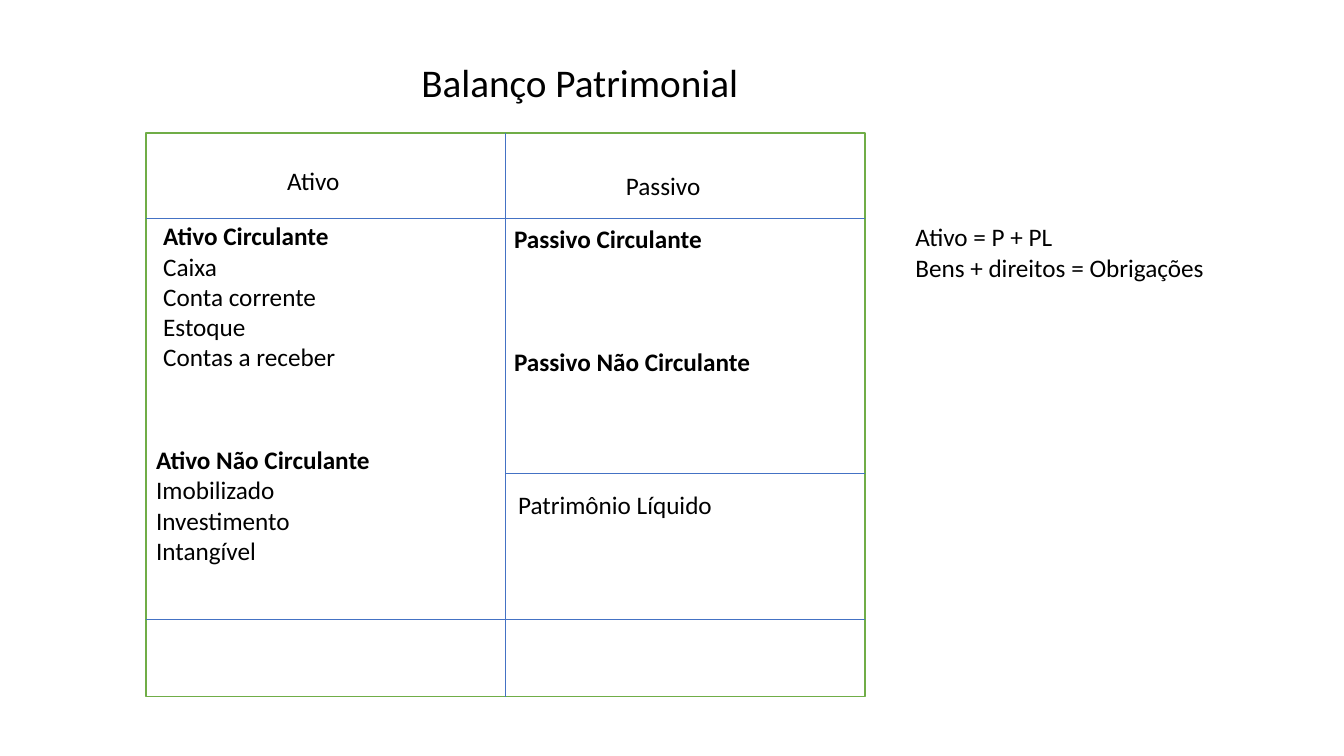
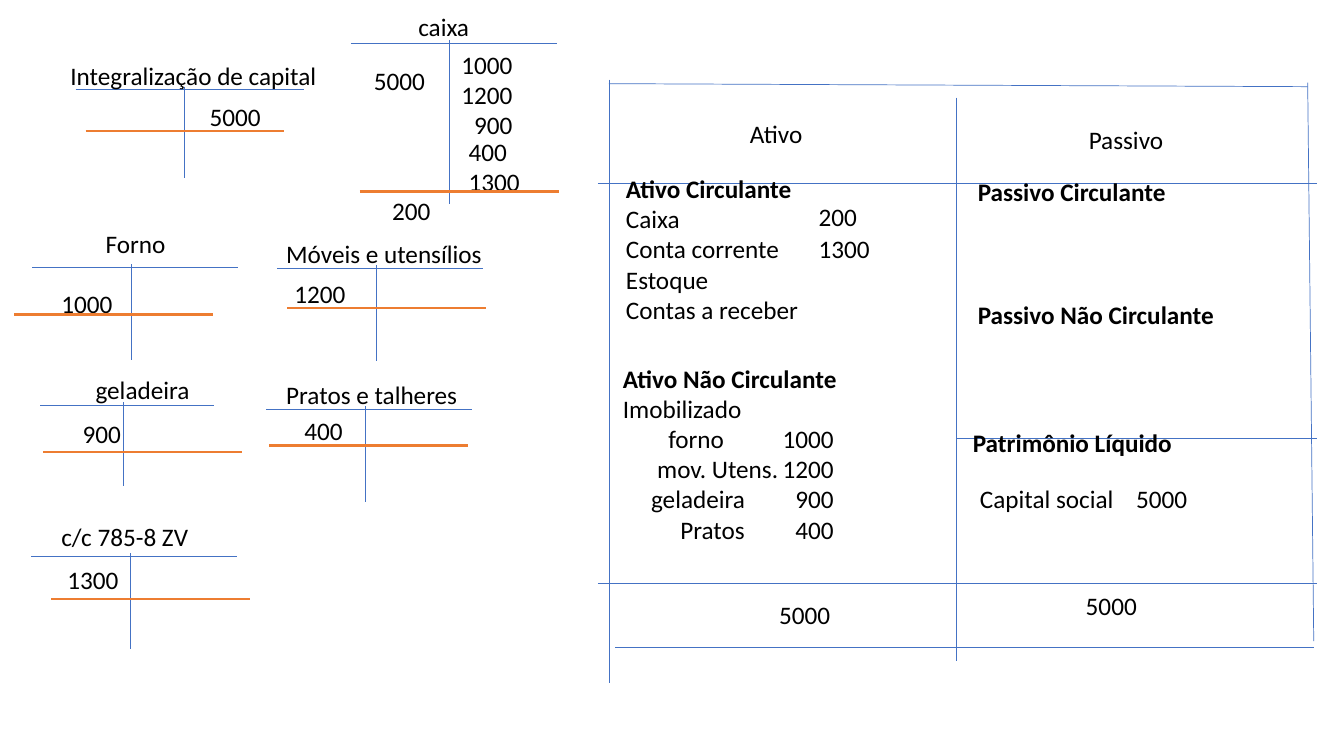
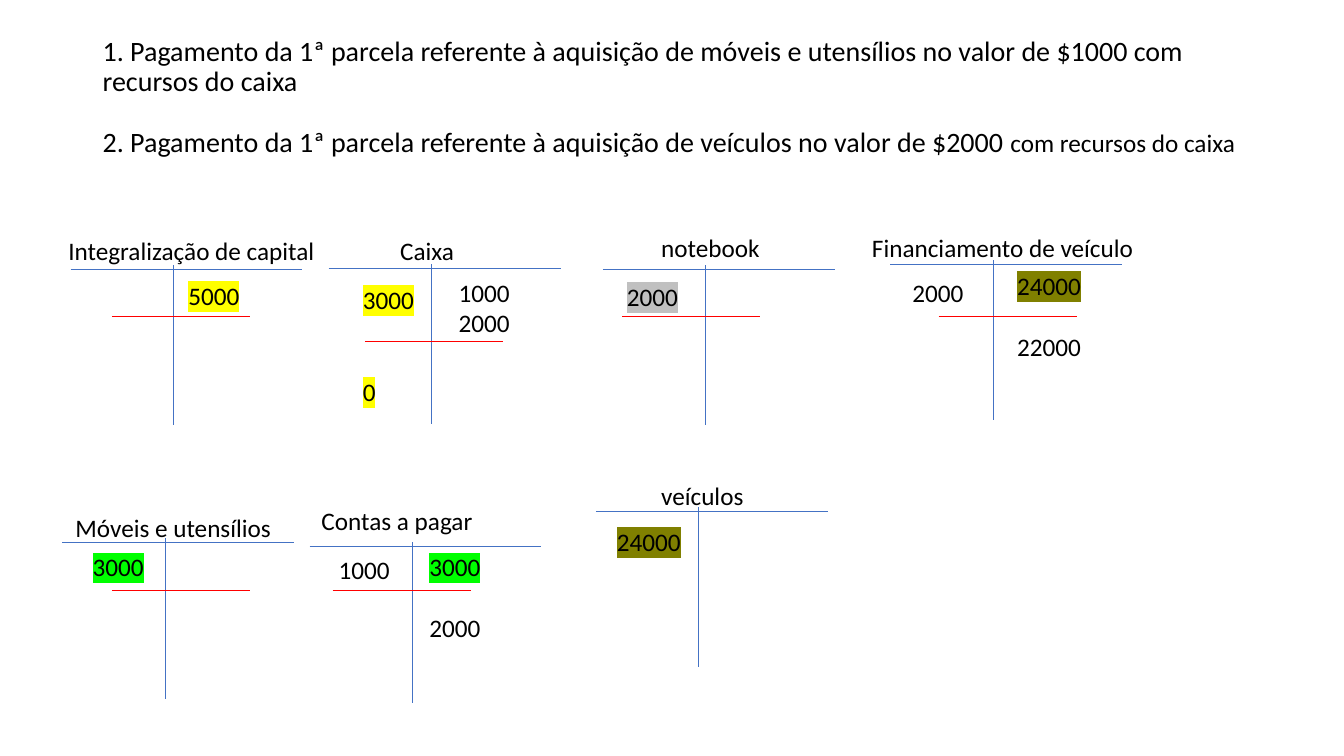
from dataclasses import dataclass

import pptx
import pptx.dml.color
import pptx.enum.shapes
import pptx.enum.text
import pptx.oxml
import pptx.oxml.ns
import pptx.slide
import pptx.text.text
import pptx.util

Inches = pptx.util.Inches
Pt = pptx.util.Pt
qn = pptx.oxml.ns.qn

FONT = "Calibri"
BODY_SIZE = 18
LINE_PITCH = 22  # points from one body line to the next
BLACK, WHITE = "000000", "FFFFFF"
BLUE, GREEN, ORANGE, RED = "4472C4", "70AD47", "ED7D31", "FF0000"
YELLOW, LIME, SILVER, OLIVE = "FFFF00", "00FF00", "C0C0C0", "808000"


@dataclass(frozen=True)
class Line:
    """One line of a label; gap counts the empty lines above it."""
    text: str
    bold: bool = False
    highlight: str = ""
    gap: int = 0
    tabs: tuple[tuple[float, str], ...] = ()


@dataclass(frozen=True)
class Label:
    """A block of body text placed on a slide."""
    left: float
    top: float
    width: float
    lines: tuple[Line, ...]
    wrap: bool = False
    right_aligned: bool = False


@dataclass(frozen=True)
class LedgerStyle:
    """Measures of a T account and of the rule above its balance."""
    width: float
    stem_offset: float
    rise: float
    drop: float
    rule_width: float
    rule_color: str
    rule_weight: float


@dataclass(frozen=True)
class Account:
    """A T account: heading, corner of its bar, entries and balance rule."""
    heading: Label
    left: float
    top: float
    style: LedgerStyle
    entries: tuple[Label, ...]
    rule: tuple[float, float] | None = None


def word(text: str, left: float, top: float, width: float = 0.71,
         bold: bool = False, highlight: str = "") -> Label:
    """Make a label of a single line."""
    return Label(left, top, width, (Line(text, bold, highlight),))


def rgb(color: str) -> pptx.dml.color.RGBColor:
    """Turn a hex string into a colour."""
    return pptx.dml.color.RGBColor.from_string(color)


def format_run(run: pptx.text.text._Run, size: float, bold: bool = False,
               highlight: str = "") -> None:
    """Give a run the common font and an optional marker colour."""
    run.font.name = FONT
    run.font.size = Pt(size)
    run.font.bold = bold
    run.font.color.rgb = rgb(BLACK)
    if highlight:
        marker = pptx.oxml.parse_xml(
            f'<a:highlight {pptx.oxml.ns.nsdecls("a")}>'
            f'<a:srgbClr val="{highlight}"/></a:highlight>')
        run.font._element.find(qn("a:solidFill")).addnext(marker)


def set_tabs(paragraph: pptx.text.text._Paragraph,
             tabs: tuple[tuple[float, str], ...]) -> None:
    """Add tab stops, each a position and an alignment, to a paragraph."""
    stops = "".join(f'<a:tab pos="{Inches(position)}" algn="{align}"/>'
                    for position, align in tabs)
    paragraph._p.get_or_add_pPr().append(pptx.oxml.parse_xml(
        f'<a:tabLst {pptx.oxml.ns.nsdecls("a")}>{stops}</a:tabLst>'))


def draw_label(slide: pptx.slide.Slide, label: Label) -> None:
    """Draw a label whose height follows from its lines."""
    rows = sum(1 + line.gap for line in label.lines)
    box = slide.shapes.add_textbox(
        Inches(label.left), Inches(label.top), Inches(label.width),
        Inches(0.1) + Pt(LINE_PITCH) * rows)
    frame = box.text_frame
    frame.word_wrap = label.wrap
    frame.auto_size = pptx.enum.text.MSO_AUTO_SIZE.SHAPE_TO_FIT_TEXT
    frame.text = "\n".join(line.text for line in label.lines)
    for paragraph, line in zip(frame.paragraphs, label.lines):
        if label.right_aligned:
            paragraph.alignment = pptx.enum.text.PP_ALIGN.RIGHT
        if line.gap:
            paragraph.space_before = Pt(LINE_PITCH * line.gap)
        if line.tabs:
            set_tabs(paragraph, line.tabs)
        for run in paragraph.runs:
            format_run(run, BODY_SIZE, line.bold, line.highlight)


def draw_labels(slide: pptx.slide.Slide, labels: tuple[Label, ...]) -> None:
    """Draw several labels."""
    for label in labels:
        draw_label(slide, label)


def draw_line(slide: pptx.slide.Slide, x1: float, y1: float, x2: float, y2: float,
              color: str = BLUE, weight: float = 0.5) -> None:
    """Draw a straight line without shadow."""
    line = slide.shapes.add_connector(
        pptx.enum.shapes.MSO_CONNECTOR.STRAIGHT,
        Inches(x1), Inches(y1), Inches(x2), Inches(y2))
    line.line.color.rgb = rgb(color)
    line.line.width = Pt(weight)
    line._element.spPr.append(
        pptx.oxml.parse_xml(f'<a:effectLst {pptx.oxml.ns.nsdecls("a")}/>'))


def draw_title(slide: pptx.slide.Slide, left: float, top: float,
               text: str, size: float) -> pptx.text.text.TextFrame:
    """Draw the title and return its frame for finer formatting."""
    box = slide.shapes.add_textbox(Inches(left), Inches(top), Inches(11.5), Inches(1.45))
    frame = box.text_frame
    frame.word_wrap = True
    frame.vertical_anchor = pptx.enum.text.MSO_ANCHOR.MIDDLE
    frame.text = text
    for paragraph in frame.paragraphs:
        paragraph.line_spacing = 0.9
        for run in paragraph.runs:
            format_run(run, size)
    return frame


def draw_account(slide: pptx.slide.Slide, account: Account) -> None:
    """Draw a T account with its heading, entries and balance rule."""
    style = account.style
    stem = account.left + style.stem_offset
    draw_line(slide, account.left, account.top, account.left + style.width, account.top)
    draw_line(slide, stem, account.top - style.rise, stem, account.top + style.drop)
    draw_label(slide, account.heading)
    draw_labels(slide, account.entries)
    if account.rule:
        rule_left, rule_top = account.rule
        draw_line(slide, rule_left, rule_top, rule_left + style.rule_width, rule_top,
                  style.rule_color, style.rule_weight)


SHEET_WIDTH, SHEET_HEIGHT, SHEET_MIDDLE = 7.13, 5.59, 3.56
HEADER_ROW, EQUITY_ROW, TOTAL_ROW = 0.85, 3.38, 4.82


def draw_sheet_grid(slide: pptx.slide.Slide, left: float, top: float) -> None:
    """Draw the inner lines of a balance sheet."""
    middle, right = left + SHEET_MIDDLE, left + SHEET_WIDTH
    draw_line(slide, middle, top, middle, top + SHEET_HEIGHT)
    for start, row in ((left, HEADER_ROW), (left, TOTAL_ROW), (middle, EQUITY_ROW)):
        draw_line(slide, start, top + row, right, top + row)


LIABILITIES = (Line("Passivo Circulante", True),
               Line("Passivo Não Circulante", True, gap=3))


def current_assets(checking: Line) -> tuple[Line, ...]:
    """List the current assets around the given checking account line."""
    return (Line("Ativo Circulante", True), Line("Caixa"), checking,
            Line("Estoque"), Line("Contas a receber"))


def build_balance_sheet(slide: pptx.slide.Slide) -> None:
    """Build the empty balance sheet."""
    left, top = 1.45, 1.32
    title = draw_title(slide, 0, 0.12, "Balanço Patrimonial", 28)
    title.paragraphs[0].alignment = pptx.enum.text.PP_ALIGN.CENTER
    sheet = slide.shapes.add_shape(
        pptx.enum.shapes.MSO_SHAPE.RECTANGLE, Inches(left), Inches(top),
        Inches(SHEET_WIDTH), Inches(SHEET_HEIGHT))
    sheet.shadow.inherit = False
    sheet.fill.solid()
    sheet.fill.fore_color.rgb = rgb(WHITE)
    sheet.line.color.rgb = rgb(GREEN)
    sheet.line.width = Pt(1)
    draw_sheet_grid(slide, left, top)
    draw_labels(slide, (
        word("Ativo", 2.75, 1.59, 0.74),
        word("Passivo", 6.11, 1.64, 0.95),
        word("Patrimônio Líquido", 5.04, 4.81, 2.15),
        Label(8.98, 2.15, 3.15, (Line("Ativo = P + PL"),
                                 Line("Bens + direitos = Obrigações"))),
        Label(1.52, 2.14, 1.93, current_assets(Line("Conta corrente"))),
        Label(1.45, 4.36, 2.34, (Line("Ativo Não Circulante", True), Line("Imobilizado"),
                                 Line("Investimento"), Line("Intangível"))),
        Label(5, 2.17, 2.56, LIABILITIES),
    ))


def small_ledger(width: float = 2.04, stem_offset: float = 0.98,
                 drop: float = 0.92) -> LedgerStyle:
    """Give the style of the opening accounts."""
    return LedgerStyle(width, stem_offset, 0.03, drop, 1.97, ORANGE, 1.5)


OPENING_ACCOUNTS = (
    Account(word("Integralização de capital", 0.6, 0.55, 2.67), 0.75, 0.89,
            small_ledger(2.27, 1.08, 0.88), (word("5000", 1.98, 0.96),), (0.85, 1.3)),
    Account(word("Forno", 0.95, 2.22, 0.8), 0.32, 2.65, small_ledger(),
            (word("1000", 0.51, 2.81),), (0.14, 3.12)),
    Account(word("caixa", 4.05, 0.06), 3.48, 0.43, small_ledger(drop=1.59),
            (word("5000", 3.61, 0.6),
             Label(4.47, 0.44, 0.71, (Line("1000"), Line("1200"), Line("900")),
                   right_aligned=True),
             Label(4.55, 1.3, 0.87, (Line("400"), Line("1300")), wrap=True),
             word("200", 3.79, 1.89, 0.59)), (3.57, 1.9)),
    Account(word("Móveis e utensílios", 2.74, 2.32, 2.16), 2.75, 2.66, small_ledger(),
            (word("1200", 2.82, 2.71),), (2.85, 3.06)),
    Account(word("geladeira", 0.85, 3.66, 1.14), 0.4, 4.02,
            small_ledger(1.72, 0.82, 0.8), (word("900", 0.72, 4.1, 0.59),), (0.43, 4.48)),
    Account(word("Pratos e talheres", 2.74, 3.71, 1.92), 2.64, 4.06, small_ledger(),
            (word("400", 2.92, 4.07, 0.59),), (2.67, 4.42)),
    Account(word("c/c 785-8 ZV", 0.51, 5.12, 1.5), 0.31, 5.52, small_ledger(),
            (word("1300", 0.57, 5.55),), (0.51, 5.94)),
)

FIXED_ASSETS = (("forno", "1000", 0.45), ("mov. Utens.", "1200", 0.34),
                ("geladeira", "900", 0.28), ("Pratos", "400", 0.57))


def build_opening_entries(slide: pptx.slide.Slide) -> None:
    """Build the opening accounts beside the balance sheet they fill."""
    draw_sheet_grid(slide, 5.93, 0.97)
    for account in OPENING_ACCOUNTS:
        draw_account(slide, account)
    for border in ((6.04, 0.83, 12.97, 0.86), (6.04, 0.79, 6.04, 6.78),
                   (12.97, 0.82, 13.03, 6.36), (6.1, 6.42, 13.03, 6.42)):
        draw_line(slide, *border)
    checking = Line("Conta corrente\t1300", tabs=((1.91, "l"),))
    fixed_assets = tuple(
        Line(f"\t{asset}\t{amount}", tabs=((indent, "l"), (2.09, "r")))
        for asset, amount, indent in FIXED_ASSETS)
    draw_labels(slide, (
        word("Ativo", 7.34, 1.12, 0.74),
        word("Passivo", 10.7, 1.18, 0.95),
        word("Patrimônio Líquido", 9.55, 4.19, 2.19, bold=True),
        Label(6.11, 1.67, 2.65, current_assets(checking), wrap=True),
        word("200", 8.02, 1.95, 0.59),
        Label(6.08, 3.55, 2.5, (Line("Ativo Não Circulante", True),
                                Line("Imobilizado"), *fixed_assets), wrap=True),
        Label(9.6, 1.7, 2.56, LIABILITIES),
        Label(9.62, 4.75, 2.29,
              (Line("Capital social\t5000", tabs=((1.55, "l"),)),), wrap=True),
        word("5000", 7.63, 5.9),
        word("5000", 10.67, 5.81),
    ))


LARGE_LEDGER = LedgerStyle(2.3, 1.02, 0.04, 1.55, 1.37, RED, 1)

PAYMENT_ACCOUNTS = (
    Account(word("Integralização de capital", 0.58, 2.29, 2.67), 0.7, 2.67, LARGE_LEDGER,
            (word("5000", 1.77, 2.73, highlight=YELLOW),), (1.11, 3.14)),
    Account(word("Caixa", 3.87, 2.29, 0.75), 3.26, 2.66, LARGE_LEDGER,
            (Label(3.5, 2.77, 0.71, (Line("3000", highlight=YELLOW),
                                     Line("0", highlight=YELLOW, gap=2))),
             Label(4.45, 2.7, 0.71, (Line("1000"), Line("2000")))), (3.62, 3.39)),
    Account(word("Móveis e utensílios", 0.65, 5.03, 2.16), 0.62, 5.38, LARGE_LEDGER,
            (word("3000", 0.82, 5.42, highlight=LIME),), (1.11, 5.86)),
    Account(word("Contas a pagar", 3.09, 4.96, 1.72), 3.07, 5.42, LARGE_LEDGER,
            (word("1000", 3.26, 5.45),
             Label(4.16, 5.42, 0.71, (Line("3000", highlight=LIME),
                                      Line("2000", gap=1)))), (3.3, 5.86)),
    Account(word("notebook", 6.46, 2.26, 1.19), 5.98, 2.67, LARGE_LEDGER,
            (word("2000", 6.12, 2.74, highlight=SILVER),), (6.17, 3.14)),
    Account(word("veículos", 6.46, 4.72, 1.03), 5.91, 5.07, LARGE_LEDGER,
            (word("24000", 6.02, 5.17, 0.84, highlight=OLIVE),)),
    Account(word("Financiamento de veículo", 8.55, 2.26, 2.82), 8.83, 2.62, LARGE_LEDGER,
            (word("2000", 8.95, 2.7),
             Label(9.99, 2.63, 0.84, (Line("24000", highlight=OLIVE),
                                      Line("22000", gap=1)))), (9.31, 3.14)),
)


def build_payments(slide: pptx.slide.Slide) -> None:
    """Build the payment exercise and its accounts."""
    payment = "Pagamento da 1ª parcela referente à aquisição de"
    title = draw_title(
        slide, 0.92, 0.4,
        f"1. {payment} móveis e utensílios no valor de $1000 com recursos do caixa\n"
        f"2. {payment} veículos no valor de $2000 ", 20)
    title.margin_bottom = Inches(0.35)
    second = title.paragraphs[1]
    second.space_before = Pt(LINE_PITCH)
    source = second.add_run()
    source.text = "com recursos do caixa"
    format_run(source, BODY_SIZE)
    for account in PAYMENT_ACCOUNTS:
        draw_account(slide, account)


def main() -> None:
    """Build and save the presentation."""
    presentation = pptx.Presentation()
    presentation.slide_width = Inches(13.33)
    presentation.slide_height = Inches(7.5)
    blank = presentation.slide_layouts[6]
    for build in (build_balance_sheet, build_opening_entries, build_payments):
        build(presentation.slides.add_slide(blank))
    presentation.save("out.pptx")


main()
